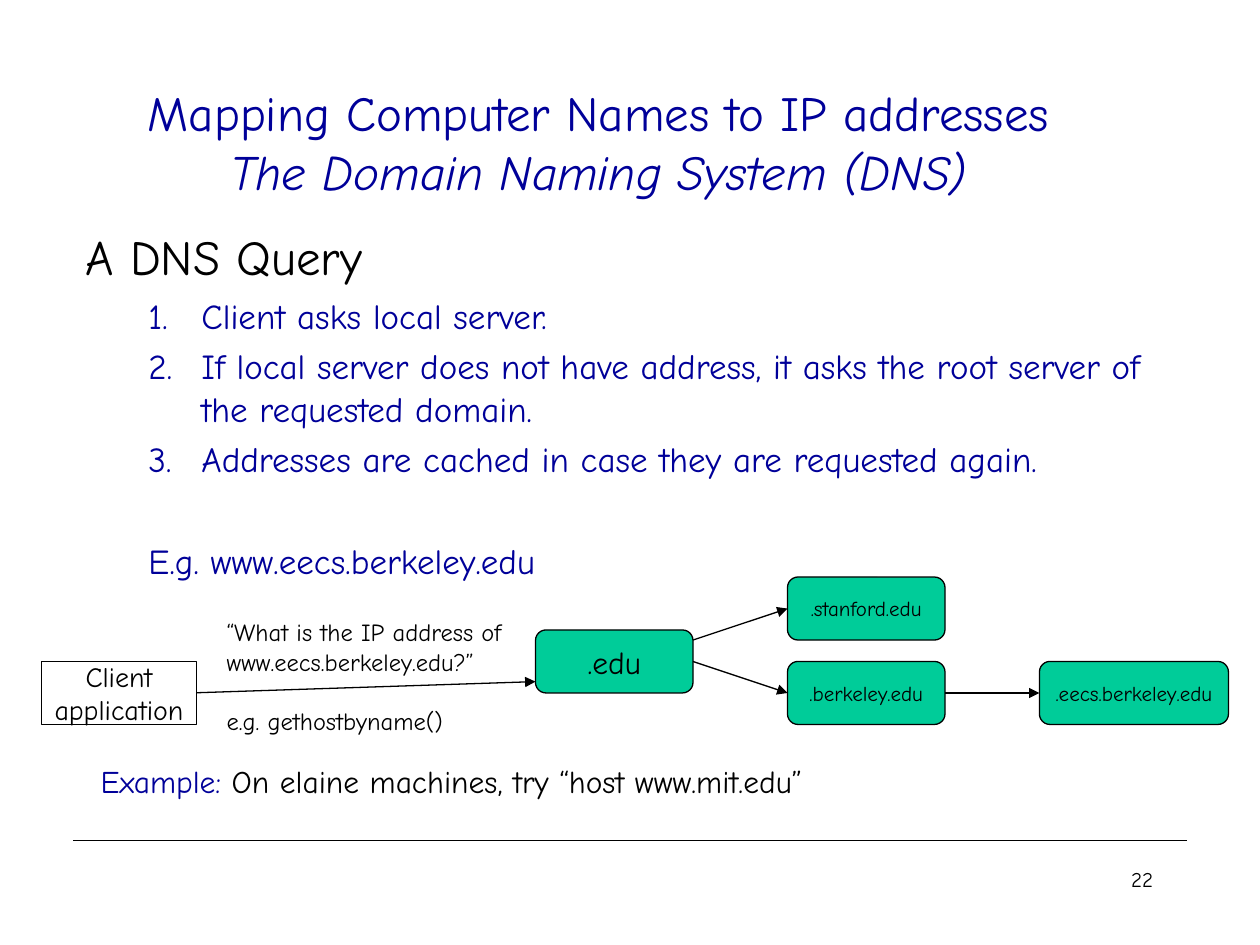
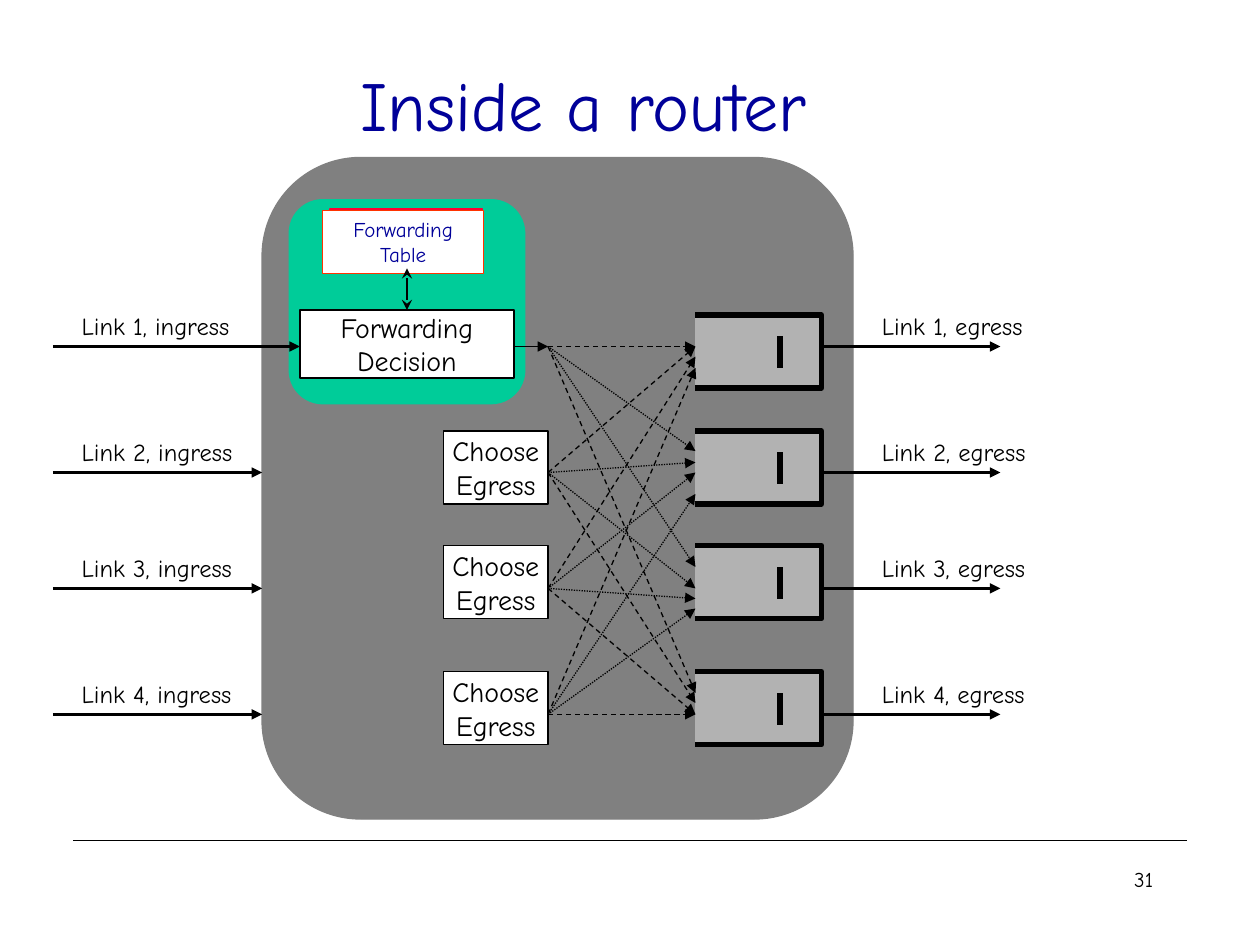
from lxml import etree
from pptx import Presentation
from pptx.dml.color import RGBColor
from pptx.enum.dml import MSO_LINE
from pptx.enum.shapes import MSO_CONNECTOR, MSO_SHAPE
from pptx.enum.text import MSO_ANCHOR, MSO_AUTO_SIZE, PP_ALIGN
from pptx.oxml.ns import qn
from pptx.util import Inches, Pt

FONT = "Comic Neue"
COLORS = {
    "ink": "000000", "navy": "000099", "white": "FFFFFF", "green": "00CC99",
    "router": "808080", "queue": "B2B2B2", "red": "FF0033", "orange": "FF3300",
}

# DNS slide
DNS_TITLE = [
    ("Mapping Computer Names to IP addresses", {}),
    ("\n", {}),
    ("The Domain Naming System (DNS)", {"italic": True}),
]
QUERY_HEADING = "A DNS Query"
QUERY_STEPS = [
    "Client asks local server.",
    "If local server does not have address, it asks the root server of the requested domain.",
    "Addresses are cached in case they are requested again.",
]
QUERY_EXAMPLE = "E.g. www.eecs.berkeley.edu"
SERVERS = [  # name, left, top, width, text size
    (".stanford.edu", 6.25, 4.58, 1.25, 12),
    (".berkeley.edu", 6.25, 5.25, 1.25, 12),
    (".eecs.berkeley.edu", 8.25, 5.25, 1.5, 12),
    (".edu", 4.25, 5, 1.25, 18),
]
QUERY_ARROWS = [
    (1.5, 5.5, 4.25, 5.41),
    (5.5, 5.08, 6.25, 4.83),
    (5.5, 5.25, 6.25, 5.5),
    (7.5, 5.5, 8.25, 5.5),
]
QUESTION = ["“What is the IP address of", "www.eecs.berkeley.edu?”"]
QUESTION_CALL = "e.g. gethostbyname()"
TRY_IT = [
    ("Example:", {"color": "navy"}),
    (" On elaine machines, try “host www.mit.edu”", {}),
]

# Router slide
LINK_YS = [2.75, 3.75, 4.67, 5.67]
QUEUE_TOPS = [2.5, 3.42, 4.33, 5.33]
# For each egress queue: dash style and where the arrow from each ingress lands
CROSSBAR = [
    (MSO_LINE.DASH, [2.75, 2.75, 2.83, 2.92]),
    (MSO_LINE.ROUND_DOT, [3.58, 3.67, 3.75, 3.92]),
    (MSO_LINE.ROUND_DOT, [4.5, 4.67, 4.75, 4.83]),
    (MSO_LINE.DASH, [5.5, 5.58, 5.67, 5.67]),
]
INGRESS_X, ROUTER_X, FABRIC_X, QUEUE_X = 0.42, 2.08, 4.35, 5.52
QUEUE_W, BOX_H = 1, 0.58


def rgb(name):
    return RGBColor.from_string(COLORS[name])


def inches(*values):
    return [Inches(v) for v in values]


def write(tf, paragraphs, size=14, color="ink", align=PP_ALIGN.LEFT,
          anchor=MSO_ANCHOR.TOP, wrap=False):
    """Fill a frame; a paragraph is a string, a run list, or a dict with runs and format."""
    tf.word_wrap = wrap
    tf.auto_size = MSO_AUTO_SIZE.NONE
    tf.vertical_anchor = anchor
    for i, para in enumerate(paragraphs):
        fmt = para if isinstance(para, dict) else {"runs": para}
        p = tf.paragraphs[0] if i == 0 else tf.add_paragraph()
        p.alignment = align
        p.space_before = Pt(fmt.get("before", 0))
        if "indent" in fmt:
            left, first = fmt["indent"]
            pPr = p._p.get_or_add_pPr()
            pPr.set("marL", str(Inches(left)))
            pPr.set("indent", str(Inches(first)))
            if fmt.get("numbered"):
                etree.SubElement(pPr, qn("a:buAutoNum"), type="arabicPeriod")
        runs = fmt["runs"]
        for text, look in [(runs, {})] if isinstance(runs, str) else runs:
            if text == "\n":
                p.add_line_break()
                continue
            r = p.add_run()
            r.text = text
            r.font.name = FONT
            r.font.size = Pt(fmt.get("size", size))
            r.font.italic = look.get("italic")
            r.font.color.rgb = rgb(look.get("color", fmt.get("color", color)))


def add_text(slide, box, paragraphs, **fmt):
    write(slide.shapes.add_textbox(*inches(*box)).text_frame, paragraphs, **fmt)


def paint(sp, fill=None, line=None, width=0.75):
    sp.shadow.inherit = False
    if fill:
        sp.fill.solid()
        sp.fill.fore_color.rgb = rgb(fill)
    else:
        sp.fill.background()
    if line:
        sp.line.color.rgb = rgb(line)
        sp.line.width = Pt(width)
    else:
        sp.line.fill.background()


def add_box(slide, box, paragraphs=(), fill="white", line="ink", width=0.75,
            rounded=False, anchor=MSO_ANCHOR.MIDDLE, **fmt):
    kind = MSO_SHAPE.ROUNDED_RECTANGLE if rounded else MSO_SHAPE.RECTANGLE
    sp = slide.shapes.add_shape(kind, *inches(*box))
    paint(sp, fill, line, width)
    if paragraphs:
        write(sp.text_frame, paragraphs, align=PP_ALIGN.CENTER, anchor=anchor, **fmt)


def add_line(slide, x1, y1, x2, y2, width=0.75, dash=None, head=None, tail=None):
    c = slide.shapes.add_connector(MSO_CONNECTOR.STRAIGHT, *inches(x1, y1, x2, y2))
    c.line.color.rgb = rgb("ink")
    c.line.width = Pt(width)
    if dash:
        c.line.dash_style = dash
    ln = c.line._get_or_add_ln()
    for tag, kind in (("a:headEnd", head), ("a:tailEnd", tail)):
        if kind:
            etree.SubElement(ln, qn(tag), type=kind)
    etree.SubElement(c._element.spPr, qn("a:effectLst"))


def add_arrow(slide, *ends, **look):
    add_line(slide, *ends, tail="triangle", **look)


def add_slide(prs, title, size, title_at, number):
    """Start a slide with its title, footer rule and page number."""
    slide = prs.slides.add_slide(prs.slide_layouts[5])
    sp = slide.shapes.title
    sp.left, sp.top, sp.width, sp.height = inches(*title_at, 8.5, 1.25)
    write(sp.text_frame, [title], size=size, color="navy", align=PP_ALIGN.CENTER,
          anchor=MSO_ANCHOR.MIDDLE, wrap=True)
    add_line(slide, 0.58, 6.67, 9.42, 6.67)
    add_text(slide, (7.17, 6.83, 2.08, 0.5), [number], size=12,
             align=PP_ALIGN.RIGHT, wrap=True)
    return slide


def add_queue(slide, top):
    """Draw an egress queue, open on its left side, with one packet mark."""
    right, bottom = QUEUE_X + QUEUE_W, top + BOX_H
    outline = slide.shapes.build_freeform(*inches(QUEUE_X, top))
    outline.add_line_segments(
        [inches(right, top), inches(right, bottom), inches(QUEUE_X, bottom)], close=False)
    paint(outline.convert_to_shape(), "queue", "ink", 3)
    add_line(slide, 6.19, top + 0.17, 6.19, top + 0.42, width=3)


def build_dns(prs):
    slide = add_slide(prs, DNS_TITLE, 28, (0.5, 0.5), "22")
    item = {"before": 5, "indent": (0.92, -0.42)}
    body = [{"runs": QUERY_HEADING, "size": 28, "color": "ink", "indent": (0.58, -0.58)}]
    body += [{"runs": step, "numbered": True, **item} for step in QUERY_STEPS]
    body.append({**item, "runs": QUERY_EXAMPLE, "before": 34})
    add_text(slide, (0.58, 1.75, 8.92, 4.5), body, size=20, color="navy", wrap=True)

    for name, left, top, width, size in SERVERS:
        add_box(slide, (left, top, width, 0.5), [name], fill="green", rounded=True, size=size)
    for ends in QUERY_ARROWS:
        add_arrow(slide, *ends)
    add_text(slide, (1.7, 4.85, 2.45, 1.04),
             QUESTION + [{"runs": QUESTION_CALL, "before": 17}])
    add_box(slide, (0.33, 5.25, 1.23, 0.5), ["Client", "application"], size=16)
    add_text(slide, (0.7, 6, 5.77, 0.4), [TRY_IT], size=18)


def build_router(prs):
    slide = add_slide(prs, "Inside a router", 40, (0.38, 0.2), "31")
    add_box(slide, (ROUTER_X, 1.25, 4.69, 5.25), fill="router", line="router", rounded=True)
    add_box(slide, (2.29, 1.58, 1.88, 1.63), fill="green", line=None, rounded=True)

    for i, (y, top) in enumerate(zip(LINK_YS, QUEUE_TOPS)):
        for side, left in (("ingress", 0.55), ("egress", 6.9)):
            add_text(slide, (left, y - 0.33, 1.38, 0.34), [f"Link {i + 1}, {side}"])
        add_arrow(slide, 6.27, y, 7.94, y, width=1.5)
        add_queue(slide, top)
        if i > 0:
            add_arrow(slide, INGRESS_X, y, ROUTER_X, y, width=1.5)
            add_box(slide, (3.52, top, 0.83, BOX_H), ["Choose", "Egress"], size=16)

    for dash, landings in CROSSBAR:
        for start, end in zip(LINK_YS, landings):
            add_arrow(slide, FABRIC_X, start, QUEUE_X, end, dash=dash)

    add_box(slide, (2.38, 2.46, 1.7, 0.54), ["Forwarding", "Decision"], width=1, size=16)
    add_box(slide, (2.62, 1.66, 1.21, 0.46), fill=None, line="red", width=1)
    add_box(slide, (2.56, 1.67, 1.28, 0.5), ["Forwarding", "Table"], line="orange",
            size=12, color="navy", anchor=MSO_ANCHOR.TOP, wrap=True)
    add_line(slide, 3.23, 2.13, 3.23, 2.46, width=1, head="stealth", tail="stealth")
    add_arrow(slide, INGRESS_X, LINK_YS[0], 2.38, LINK_YS[0], width=1.5)
    add_arrow(slide, 4.08, LINK_YS[0], FABRIC_X, LINK_YS[0])


def main():
    prs = Presentation()
    prs.slide_width, prs.slide_height = inches(10, 7.5)
    build_dns(prs)
    build_router(prs)
    prs.save("out.pptx")


if __name__ == "__main__":
    main()
